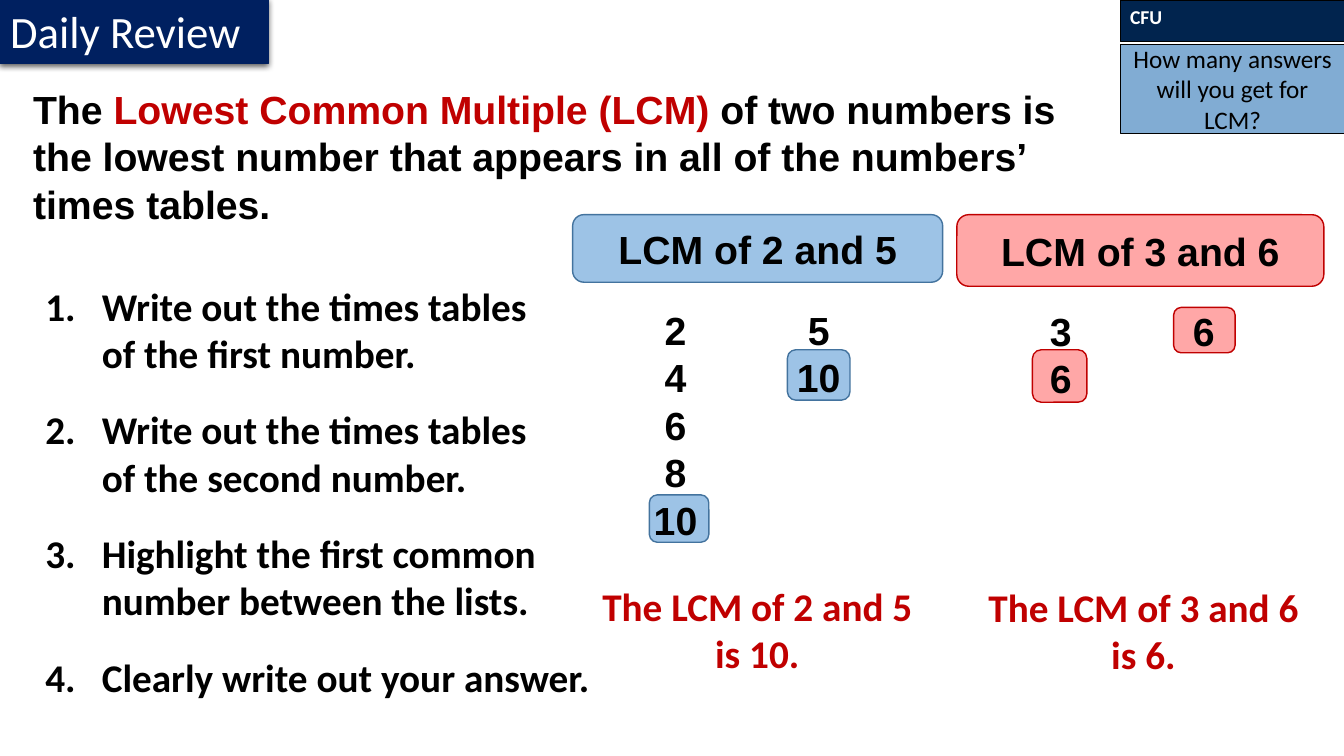
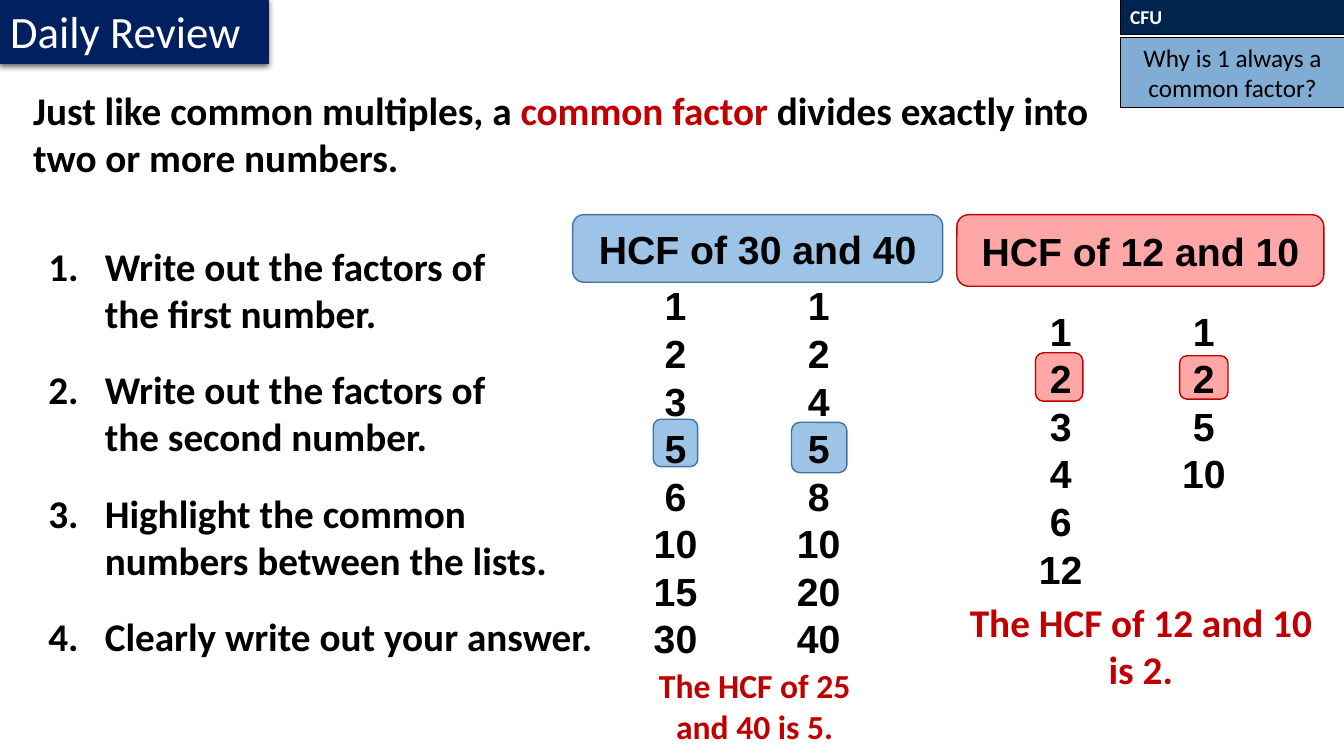
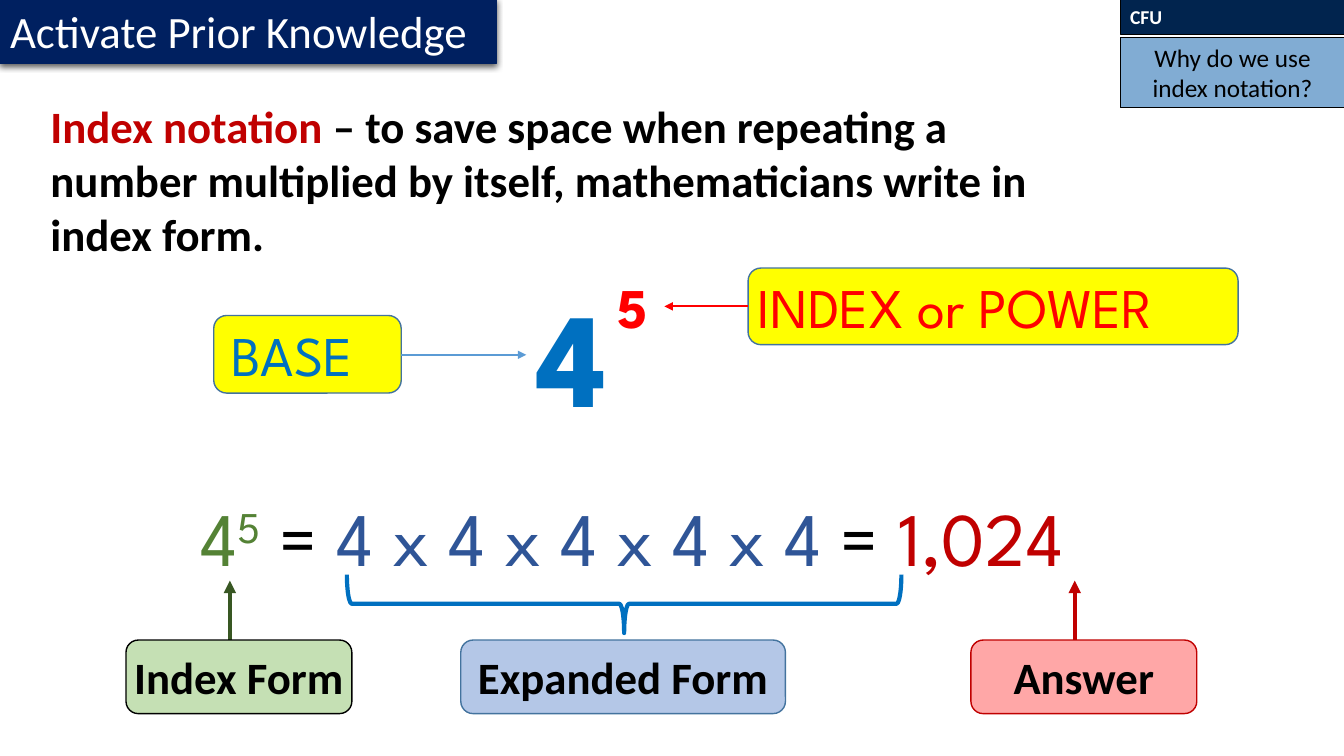
from lxml import etree
from pptx import Presentation
from pptx import util as u
from pptx.dml.color import RGBColor
from pptx.enum import shapes, text
from pptx.oxml import parse_xml
from pptx.oxml.ns import nsdecls, qn

COL = dict(black="000000", white="FFFFFF", red="C00000", hot="FF0000",
           navy="002060", ink="01244E", ask="2E75B6", sky="9DC3E6",
           edge="43739E", pink="FFA7A7", gold="FFFF00", blue="0070C0",
           pale="B4C7E7", steel="5B9BD5", royal="2F5597", mint="C5E0B4",
           leaf="548235", pine="385723")
SANS, HEAD, MATH = "Calibri", "Arial", "League Spartan"
WIDE, TALL = 13.33, 7.5
SIDE = 2.23                      # width of the question panel
ROW, STEP = 34, 1.42             # number rows (pt), number columns (in)
MID, LEFT = text.PP_ALIGN.CENTER, text.PP_ALIGN.LEFT
KIND = shapes.MSO_SHAPE

# Content: two review slides with the same plan
REVIEW = [
    dict(title="Daily Review", ask="How many answers will you get for LCM?",
         cfu=(0.41, 0.88), top=0.79, font=HEAD, steptop=(0.35, 2.75),
         intro=[("The ", "black"), ("Lowest Common Multiple (LCM) ", "red"),
                ("of two numbers is the lowest number that appears in all "
                 "of the numbers’ times tables.", "black")],
         steps=[("Write out the times tables ", "of the first number."),
                ("Write out the times tables ", "of the second number."),
                ("Highlight the first common number between the lists.",),
                ("Clearly write out your answer.",)],
         panels=[
             dict(head="LCM of 2 and 5", top=2.98,
                  cols=["2 4 6 8 10", "5 10"],
                  marks=[(6.44, 4.91, 0.59, 0.47), (7.81, 3.47, 0.62, 0.5)],
                  end="The LCM of 2 and 5 is 10.", at=(5.72, 5.73, 3.58, 1.04)),
             dict(head="LCM of 3 and 6", top=2.99, cols=["3 6", "6"],
                  marks=[(10.24, 3.47, 0.54, 0.52), (11.64, 3.05, 0.61, 0.45)],
                  end="The LCM of 3 and 6 is 6.", at=(9.55, 5.74, 3.58, 1.04))]),
    dict(title="Daily Review", ask="Why is 1 always a common factor?",
         cfu=(0.34, 0.7), top=0.81, font=SANS, steptop=(0.38, 2.35),
         intro=[("Just like common multiples, a ", "black"),
                ("common factor", "red"),
                (" divides exactly into two or more numbers.", "black")],
         steps=[("Write out the factors of ", "the first number."),
                ("Write out the factors of ", "the second number."),
                ("Highlight the common ", "numbers between the lists."),
                ("Clearly write out your answer.",)],
         panels=[
             dict(head="HCF of 30 and 40", top=2.74,
                  cols=["1 2 3 5 6 10 15 30", "1 2 4 5 8 10 20 40"],
                  marks=[(6.48, 4.16, 0.44, 0.47), (7.85, 4.19, 0.55, 0.5)],
                  end="The HCF of 25 and 40 is 5.", size=24,
                  at=(6.29, 6.55, 2.39, 0.91)),
             dict(head="HCF of 12 and 10", top=2.99,
                  cols=["1 2 3 4 6 12", "1 2 5 10"],
                  marks=[(10.27, 3.5, 0.47, 0.48), (11.7, 3.53, 0.48, 0.43)],
                  end="The HCF of 12 and 10 is 2.",
                  at=(9.5, 5.89, 3.63, 1.04))]),
]
# Look of the left and right panel: fill, line, heading place, first column
LOOK = [("sky", "edge", (5.68, 2.13, 3.67, 0.67), 5.68),
        ("pink", "red", (9.49, 2.13, 3.64, 0.71), 9.5)]

# Content: index notation slide
INDEX = dict(
    title="Activate Prior Knowledge", ask="Why do we use index notation?",
    cfu=(0.34, 0.7),
    intro=[("Index notation ", "red"),
           ("– to save space when repeating a number multiplied by itself, "
            "mathematicians write in index form.", "black")],
    parts=[("INDEX or POWER", "hot", (7.42, 2.66, 4.86, 0.76), 0.06),
           ("BASE", "blue", (2.12, 3.13, 1.86, 0.77), 0.14)],
    power=[("4", "blue", 96, (5.22, 2.66, 2.75, 1.72)),
           ("5", "hot", 40, (6.03, 2.65, 2.13, 0.77))],
    sum=[("4", "leaf"), ("5", "leaf"), (" = ", "black"),
         ("4 x 4 x 4 x 4 x 4 ", "royal"), ("= ", "black"), ("1,024", "red")],
    forms=[("Index Form", 1.25, 2.24, "mint", "black"),
           ("Expanded Form", 4.57, 3.22, "pale", "edge"),
           ("Answer", 9.63, 2.24, "pink", "red")],
    arrows=[((2.28, 6.36), (2.28, 5.76), "pine", 3),
            ((10.66, 6.36), (10.66, 5.76), "red", 3),
            ((3.98, 3.52), (5.22, 3.52), "steel", 1.5),
            ((7.42, 3.04), (6.59, 3.04), "hot", 1.5)])


def rgb(name):
    return RGBColor.from_string(COL[name])


def inch(vals):
    return [u.Inches(v) for v in vals]


def style(item, **vals):
    for key, val in vals.items():
        setattr(item, key, val)


def write(frame, paras, size=28, font=SANS, bold=True, align=LEFT,
          anchor=text.MSO_ANCHOR.TOP, wrap=True, lead=None, gap=0, inset=0.1):
    """Each paragraph is a list of (text, colour) runs; None breaks the line."""
    style(frame, word_wrap=wrap, auto_size=text.MSO_AUTO_SIZE.NONE,
          vertical_anchor=anchor, margin_left=u.Inches(inset),
          margin_right=u.Inches(min(inset, 0.1)),
          margin_top=u.Inches(0.05), margin_bottom=u.Inches(0.05))
    for i, runs in enumerate(paras):
        para = frame.add_paragraph() if i else frame.paragraphs[0]
        style(para, alignment=align, space_before=u.Pt(gap if i else 0),
              line_spacing=u.Pt(lead) if lead else 1.0)
        for run in runs:
            if run is None:
                para.add_line_break()
                continue
            part = para.add_run()
            part.text = run[0]
            style(part.font, size=u.Pt(size), name=font, bold=bold)
            part.font.color.rgb = rgb(run[1])


def box(page, at, paras, **fmt):
    frame = page.shapes.add_textbox(*inch(at)).text_frame
    write(frame, paras, **fmt)
    return frame


def shape(page, kind, at, fill, line, width=1.0):
    item = page.shapes.add_shape(kind, *inch(at))
    item.shadow.inherit = False
    if fill:
        item.fill.solid()
        item.fill.fore_color.rgb = rgb(fill)
    else:
        item.fill.background()
    item.line.color.rgb = rgb(line)
    item.line.width = u.Pt(width)
    return item


def arrow(page, start, end, color, width):
    item = page.shapes.add_connector(shapes.MSO_CONNECTOR.STRAIGHT,
                                     *inch(start + end))
    item.line.color.rgb = rgb(color)
    item.line.width = u.Pt(width)
    props = item._element.spPr
    etree.SubElement(props.find(qn("a:ln")), qn("a:tailEnd"), type="triangle")
    etree.SubElement(props, qn("a:effectLst"))


def place(item, at):
    style(item, **dict(zip(("left", "top", "width", "height"), inch(at))))


def banner(title, words, width):
    """Turn the title placeholder into a shadowed pentagon."""
    place(title, (0, -0.01, width, 0.64))
    props = title._element.spPr
    etree.SubElement(props, qn("a:prstGeom"), prst="homePlate")
    title.fill.solid()
    title.fill.fore_color.rgb = rgb("navy")
    title.line.color.rgb = rgb("navy")
    title.line.width = u.Pt(0.75)
    props.append(parse_xml(
        f'<a:effectLst {nsdecls("a")}><a:outerShdw blurRad="57150" '
        'dist="19050" dir="5400000" algn="ctr" rotWithShape="0">'
        f'<a:srgbClr val="{COL["black"]}"><a:alpha val="63000"/></a:srgbClr>'
        '</a:outerShdw></a:effectLst>'))
    write(title.text_frame, [[(words, "white")]], size=32, bold=False,
          wrap=False)


def start(deck, data, width):
    """New slide with banner and question panel; returns slide and body."""
    page = deck.slides.add_slide(deck.slide_layouts[1])
    banner(page.shapes.title, data["title"], width)
    top, tall = data["cfu"]
    left = WIDE - SIDE + 0.01
    tab = shape(page, KIND.RECTANGLE, (left, 0, SIDE, top), "ink", "black", 0.75)
    write(tab.text_frame, [[("CFU", "white")]], size=14)
    ask = shape(page, KIND.RECTANGLE, (left, top + 0.03, SIDE, tall),
                "ask", "black", 0.75)
    tint = ask._element.spPr.find(qn("a:solidFill"))[0]
    etree.SubElement(tint, qn("a:alpha"), val="60000")
    write(ask.text_frame, [[(data["ask"], "black")]], size=18, bold=False,
          align=MID, anchor=text.MSO_ANCHOR.MIDDLE)
    return page, page.placeholders[1]


def bullet(para, hang, tag, **vals):
    props = para._p.get_or_add_pPr()
    props.set("marL", str(u.Inches(hang)))
    props.set("indent", str(-u.Inches(hang)))
    etree.SubElement(props, qn(tag), **vals)


def review(deck, data):
    page, body = start(deck, data, 2.66)
    box(page, (0.23, data["top"], 10.75, 1.5), [data["intro"]],
        font=data["font"], lead=ROW if data["font"] == HEAD else None)
    # Numbered steps
    place(body, data["steptop"] + (5.85, 4.3))
    steps = []
    for lines in data["steps"]:
        runs = [(lines[0], "black")]
        for more in lines[1:]:
            runs += [None, (more, "black")]
        steps.append(runs)
    write(body.text_frame, steps, gap=21)
    for para in body.text_frame.paragraphs:
        bullet(para, 0.56, "a:buFont", typeface="+mj-lt")
        etree.SubElement(para._p.pPr, qn("a:buAutoNum"), type="arabicPeriod")
        para.font.size = u.Pt(28)
        para.font.bold = True
    # Worked examples
    for panel, (fill, line, at, left) in zip(data["panels"], LOOK):
        head = shape(page, KIND.ROUNDED_RECTANGLE, at, fill, line)
        write(head.text_frame, [[(panel["head"], "black")]], font=HEAD,
              align=MID, anchor=text.MSO_ANCHOR.MIDDLE)
        for mark in panel["marks"]:
            shape(page, KIND.ROUNDED_RECTANGLE, mark, fill, line)
        for i, col in enumerate(panel["cols"]):
            nums = col.split()
            box(page, (left + i * STEP, panel["top"], 2.04,
                       0.1 + len(nums) * ROW / 72),
                [[(num, "black")] for num in nums],
                font=HEAD, align=MID, lead=ROW)
        box(page, panel["at"], [[(panel["end"], "red")]],
            size=panel.get("size", 28), align=MID)


def index(deck, data):
    page, body = start(deck, data, 4.92)
    place(body, (0.4, 0.93, 10.33, 1.72))
    write(body.text_frame, [data["intro"]], size=32)
    bullet(body.text_frame.paragraphs[0], 0, "a:buNone")
    # Base and power
    for words, color, at, inset in data["parts"]:
        item = shape(page, KIND.ROUNDED_RECTANGLE, at, "gold", "edge")
        write(item.text_frame, [[(words, color)]], size=40, font=MATH,
              bold=False, anchor=text.MSO_ANCHOR.MIDDLE, inset=inset,
              wrap=True)
    for words, color, size, at in data["power"]:
        box(page, at, [[(words, color)]], size=size, font=MATH)
    # Equation with its raised power
    line = box(page, (1.89, 4.82, 9.91, 1.01), [data["sum"]], size=54,
               font=MATH, bold=False)
    line.paragraphs[0].runs[1].font._element.set("baseline", "30000")
    # Named forms
    for args in data["arrows"]:
        arrow(page, *args)
    brace = shape(page, KIND.RIGHT_BRACE, (5.9, 3.24, 0.58, 5.5),
                  None, "blue", 3)
    brace.rotation = 90
    for words, left, wide, fill, edge in data["forms"]:
        item = shape(page, KIND.ROUNDED_RECTANGLE, (left, 6.35, wide, 0.73),
                     fill, edge)
        write(item.text_frame, [[(words, "black")]], size=32, align=MID,
              anchor=text.MSO_ANCHOR.MIDDLE, inset=0)


def main():
    deck = Presentation()
    deck.slide_width, deck.slide_height = inch((WIDE, TALL))
    for data in REVIEW:
        review(deck, data)
    index(deck, INDEX)
    deck.save("out.pptx")


if __name__ == "__main__":
    main()
